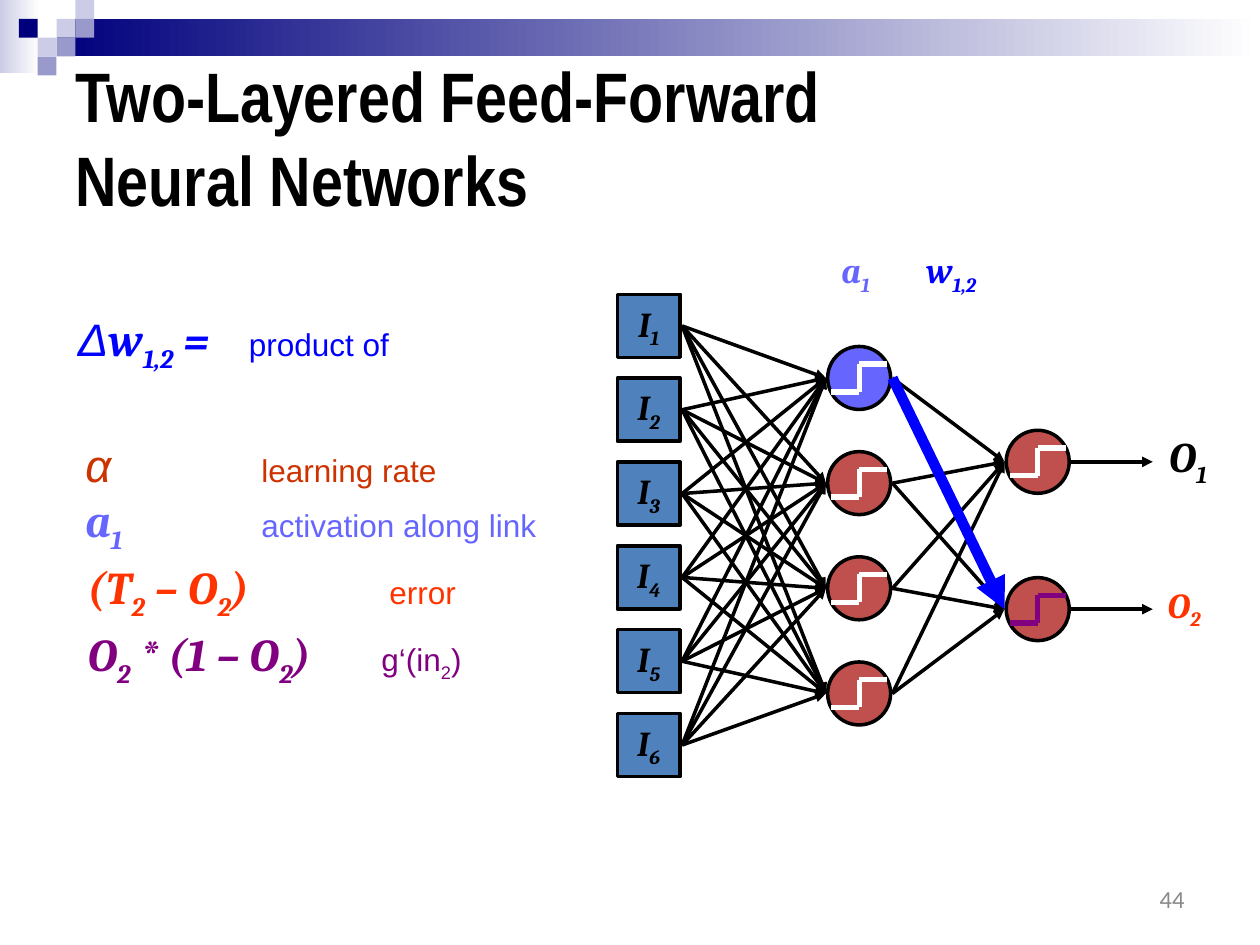
import itertools

import pptx
import pptx.dml.color
import pptx.enum.shapes
import pptx.enum.text
import pptx.oxml
import pptx.oxml.ns
import pptx.util

Cm, Pt = pptx.util.Cm, pptx.util.Pt
SHAPE = pptx.enum.shapes.MSO_SHAPE
ALIGN = pptx.enum.text.PP_ALIGN
MIDDLE = pptx.enum.text.MSO_ANCHOR.MIDDLE

COLORS = {
    "black": "000000", "white": "FFFFFF", "navy": "00007D", "pale": "CCCCE6",
    "lavender": "9999CC", "input": "4F81BD", "neuron": "C0504D", "active": "6666FF",
    "weight": "0000FF", "rate": "CC3300", "error": "FF3300", "slope": "800080",
    "gray": "898989",
}
FONTS = {
    "title": {"name": "Arial Narrow", "size": Pt(40), "bold": True},
    "formula": {"name": "Cambria", "size": Pt(26), "bold": True, "italic": True},
    "greek": {"name": "Arial", "size": Pt(26), "italic": True},
    "label": {"name": "Cambria", "size": Pt(20), "bold": True, "italic": True},
    "output": {"name": "Cambria", "size": Pt(24), "bold": True, "italic": True},
    "note": {"name": "Arial", "size": Pt(18)},
    "number": {"name": "Calibri", "size": Pt(14)},
}
NODE = 1.27
REACH = 0.67  # from a node's centre to the ends of its links
INPUTS = [(13.08, 6.57 + 1.69 * i) for i in range(6)]
HIDDEN = [(17.32, 7.62 + 2.12 * i) for i in range(4)]
OUTPUTS = [(20.92, 9.31), (20.92, 12.28)]


def rgb(name):
    return pptx.dml.color.RGBColor.from_string(COLORS[name])


class Deck:
    def __init__(self):
        self.prs = pptx.Presentation()
        self.prs.slide_width, self.prs.slide_height = Cm(25.4), Cm(19.05)
        self.s = self.prs.slides.add_slide(self.prs.slide_layouts[5])

    def runs(self, p, color, runs):
        """Add (text, font) runs; a third item marks a subscript."""
        for text, font, *sub in runs:
            r = p.add_run()
            r.text = text
            for key, value in FONTS[font].items():
                setattr(r.font, key, value)
            r.font.color.rgb = rgb(color)
            if sub:
                r.font._element.set("baseline", "-25000")

    def title(self, lines, left, top, width, height):
        sp = self.s.shapes.title
        sp.left, sp.top, sp.width, sp.height = map(Cm, (left, top, width, height))
        tf = sp.text_frame
        tf.auto_size = pptx.enum.text.MSO_AUTO_SIZE.NONE
        tf.vertical_anchor = MIDDLE
        p = tf.paragraphs[0]
        p.alignment = ALIGN.LEFT
        self.runs(p, "black", [(lines[0], "title")])
        p.add_line_break()
        self.runs(p, "black", [(lines[1], "title")])

    def shape(self, kind, left, top, width, height, fill, line=None):
        sp = self.s.shapes.add_shape(kind, *map(Cm, (left, top, width, height)))
        sp.shadow.inherit = False
        sp.fill.solid()
        sp.fill.fore_color.rgb = rgb(fill)
        if line:
            sp.line.color.rgb = rgb(line)
            sp.line.width = Pt(2)
        else:
            sp.line.fill.background()
        return sp

    def fade(self, left, top, width, height, color):
        sp = self.shape(SHAPE.RECTANGLE, left, top, width, height, color)
        sp.fill.gradient()
        sp.fill.gradient_angle = 0
        for stop, name, position in zip(sp.fill.gradient_stops, (color, "white"), (0, 1)):
            stop.color.rgb = rgb(name)
            stop.position = position

    def node(self, kind, center, fill):
        x, y = center
        return self.shape(kind, x - NODE / 2, y - NODE / 2, NODE, NODE, fill, "black")

    def input(self, center, number):
        tf = self.node(SHAPE.RECTANGLE, center, "input").text_frame
        tf.word_wrap = False
        tf.vertical_anchor = MIDDLE
        p = tf.paragraphs[0]
        p.alignment = ALIGN.CENTER
        self.runs(p, "black", [("I", "label"), (number, "label", True)])

    def neuron(self, center, fill="neuron", step="white"):
        """Circle with a step function drawn inside."""
        self.node(SHAPE.OVAL, center, fill)
        x, y = center
        w, h = 0.56, 0.28
        corners = [(x - w, y + h), (x, y + h), (x, y - h), (x + w, y - h)]
        for start, end in itertools.pairwise(corners):
            self.line(start, end, step, 3)

    def line(self, start, end, color="black", width=2, arrow=False):
        c = self.s.shapes.add_connector(
            pptx.enum.shapes.MSO_CONNECTOR.STRAIGHT, *map(Cm, (*start, *end)))
        c.line.color.rgb = rgb(color)
        c.line.width = Pt(width)
        if arrow:
            pptx.oxml.ns.qn("a:tailEnd")
            c.line._get_or_add_ln().append(pptx.oxml.parse_xml(
                f'<a:tailEnd {pptx.oxml.ns.nsdecls("a")} type="triangle"/>'))
        c._element.spPr.append(pptx.oxml.parse_xml(
            f'<a:effectLst {pptx.oxml.ns.nsdecls("a")}/>'))

    def link(self, start, end, color="black", width=2):
        self.line((start[0] + REACH, start[1]), (end[0] - REACH, end[1]), color, width, True)

    def text(self, left, top, width, height, color, runs, tab=None, align=ALIGN.LEFT):
        sp = self.s.shapes.add_textbox(*map(Cm, (left, top, width, height)))
        tf = sp.text_frame
        p = tf.paragraphs[0]
        p.alignment = align
        tf.word_wrap = tab is not None or align == ALIGN.RIGHT
        if tab:
            p._p.get_or_add_pPr().append(pptx.oxml.parse_xml(
                f'<a:tabLst {pptx.oxml.ns.nsdecls("a")}>'
                f'<a:tab pos="{Cm(tab)}" algn="l"/></a:tabLst>'))
        self.runs(p, color, runs)


def header(deck):
    unit = 0.38
    deck.fade(0, 0, 0.79, 1.47, "pale")
    deck.fade(3 * unit, unit, 24.26, 2 * unit, "navy")
    for col, row, color in [(3, 1, "pale"), (4, 0, "pale"), (4, 1, "lavender"),
                            (2, 2, "pale"), (1, 1, "navy"), (3, 2, "lavender"),
                            (2, 3, "lavender")]:
        deck.shape(SHAPE.RECTANGLE, col * unit, row * unit, unit, unit, color)


def network(deck):
    for number, center in enumerate(INPUTS, 1):
        deck.input(center, str(number))
    for i, center in enumerate(HIDDEN):
        deck.neuron(center, "neuron" if i else "active")
    for start, end in itertools.product(INPUTS, HIDDEN):
        deck.link(start, end)
    for center, step in zip(OUTPUTS, ("white", "slope")):
        deck.neuron(center, step=step)
    weighted = (HIDDEN[0], OUTPUTS[1])
    for pair in itertools.product(HIDDEN, OUTPUTS):
        if pair != weighted:
            deck.link(*pair)
    for x, y in OUTPUTS:
        deck.line((x + REACH, y), (23.24, y), arrow=True)
    deck.link(*weighted, "weight", 6)

    for left, top, width, color, letter, sub, font in [
            (16.71, 4.88, 1.09, "active", "a", "1", "label"),
            (18.42, 4.88, 1.6, "weight", "w", "1,2", "label"),
            (23.32, 8.56, 1.45, "black", "O", "1", "output"),
            (23.29, 11.63, 1.3, "error", "O", "2", "label")]:
        deck.text(left, top, width, 1.22, color, [(letter, font), (sub, font, True)])


def formulas(deck):
    f, two = "formula", ("2", "formula", True)
    rows = [
        (1.32, 6.15, "weight", 3.45,
         [("Δ", "greek"), ("w", f), ("1,2", f, True), (" =", f), ("\tproduct of", "note")]),
        (1.47, 8.69, "rate", 3.55, [("α", "greek"), ("\tlearning rate", "note")]),
        (1.47, 9.8, "active", 3.55,
         [("a", f), ("1", f, True), ("\tactivation along link", "note")]),
        (1.52, 11.15, "error", 6.08,
         [("(T", f), two, (" – O", f), two, (")", f), ("\terror", "note")]),
        (1.52, 12.5, "slope", 5.92,
         [("O", f), two, (" * (1 – O", f), two, (")", f),
          ("\tg‘(in", "note"), ("2", "note", True), (")", "note")]),
    ]
    for left, top, color, tab, runs in rows:
        deck.text(left, top, 10.2, 1.5, color, runs, tab)


def main():
    deck = Deck()
    header(deck)
    deck.title(["Two-Layered Feed-Forward", "Neural Networks"], 1.27, 1.17, 22.86, 3.18)
    network(deck)
    formulas(deck)
    deck.text(18.21, 17.7, 5.92, 0.89, "gray", [("44", "number")], align=ALIGN.RIGHT)
    deck.prs.save("out.pptx")


if __name__ == "__main__":
    main()
